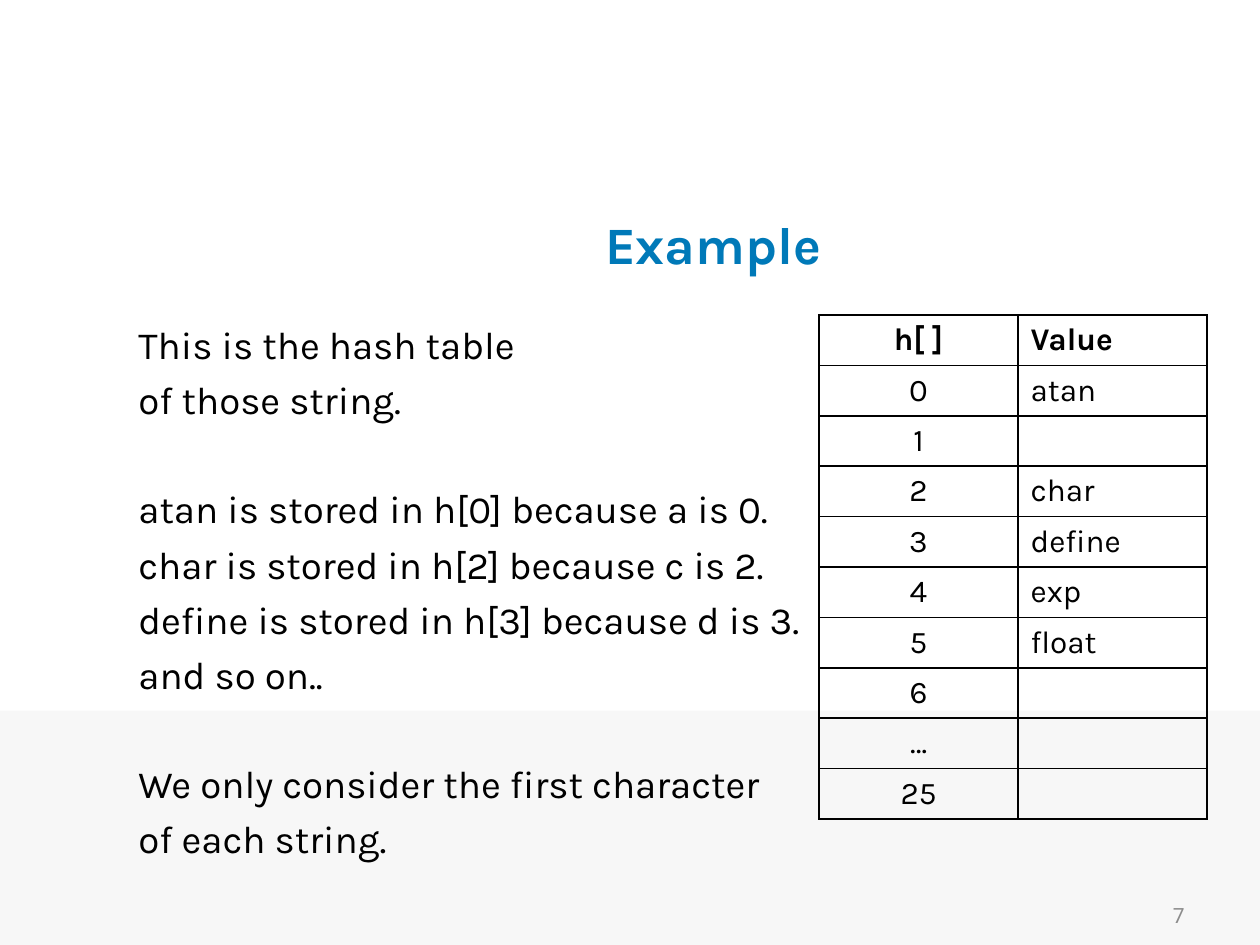
from dataclasses import dataclass

from lxml import etree
from pptx import Presentation
from pptx.dml.color import RGBColor
from pptx.enum.shapes import MSO_SHAPE
from pptx.enum.text import MSO_ANCHOR, PP_ALIGN
from pptx.oxml.ns import qn
from pptx.util import Inches, Pt

RECTANGLE = MSO_SHAPE.RECTANGLE
TOP, MIDDLE = MSO_ANCHOR.TOP, MSO_ANCHOR.MIDDLE
LEFT, CENTER, RIGHT = PP_ALIGN.LEFT, PP_ALIGN.CENTER, PP_ALIGN.RIGHT


@dataclass(frozen=True)
class Theme:
    """Fonts, colours and type sizes of the slide."""
    font: str = "Karla"
    number_font: str = "Roboto"
    accent: str = "0079B8"
    ink: str = "000000"
    muted: str = "8C8C8C"
    band: str = "F7F7F7"
    title_size: int = 30
    body_size: int = 22
    table_size: int = 18
    number_size: int = 12
    line_gap: float = 5.14
    block_gap: float = 36


THEME = Theme()
WIDTH, HEIGHT = 10, 7.5

EXPLANATION = [
    ["This is the hash table", "of those string."],
    ["atan is stored in h[0] because a is 0.",
     "char is stored in h[2] because c is 2.",
     "define is stored in h[3] because d is 3.",
     "and so on.."],
    ["We only consider the first character", "of each string."],
]
HASH_ROWS = [
    ("h[ ]", "Value"), ("0", "atan"), ("1", ""), ("2", "char"),
    ("3", "define"), ("4", "exp"), ("5", "float"), ("6", ""),
    ("…", ""), ("25", ""),
]


def write(paragraph, text, size, font=THEME.font, color=THEME.ink,
          bold=False, align=LEFT, before=0):
    """Put formatted text into a paragraph."""
    paragraph.alignment = align
    paragraph.space_before = Pt(before)
    run = paragraph.add_run()
    run.text = text
    run.font.size = Pt(size)
    run.font.name = font
    run.font.bold = bold
    run.font.color.rgb = RGBColor.from_string(color)


def add_frame(slide, box, anchor):
    """Add a wrapping text box and return its text frame."""
    frame = slide.shapes.add_textbox(*map(Inches, box)).text_frame
    frame.word_wrap = True
    frame.vertical_anchor = anchor
    return frame


def add_band(slide, box):
    """Draw the pale band at the foot of the slide."""
    band = slide.shapes.add_shape(RECTANGLE, *map(Inches, box))
    band.shadow.inherit = False
    band.fill.solid()
    band.fill.fore_color.rgb = RGBColor.from_string(THEME.band)
    band.line.fill.background()


def add_label(slide, box, text, **style):
    """Add one vertically centred line of text."""
    write(add_frame(slide, box, MIDDLE).paragraphs[0], text, **style)


def add_explanation(slide, box, blocks):
    """Add blocks of lines, with a wider gap between blocks."""
    frame = add_frame(slide, box, TOP)
    paragraph = frame.paragraphs[0]
    for block_index, block in enumerate(blocks):
        for line_index, line in enumerate(block):
            if block_index or line_index:
                paragraph = frame.add_paragraph()
            starts_block = block_index and not line_index
            gap = THEME.block_gap if starts_block else THEME.line_gap
            write(paragraph, line, THEME.body_size, before=gap)


def outline_cell(cell):
    """Give a cell a one-point border on all four sides."""
    properties = cell._tc.get_or_add_tcPr()
    for position, side in enumerate(("lnL", "lnR", "lnT", "lnB")):
        line = etree.Element(qn(f"a:{side}"), w=str(Pt(1)))
        fill = etree.SubElement(line, qn("a:solidFill"))
        etree.SubElement(fill, qn("a:srgbClr"), val=THEME.ink)
        properties.insert(position, line)


def add_hash_table(slide, box, rows, column_widths):
    """Add the table of hash slots and their values."""
    table = slide.shapes.add_table(
        len(rows), len(column_widths), *map(Inches, box)).table
    table.first_row = table.horz_banding = False
    for column, width in zip(table.columns, column_widths):
        column.width = Inches(width)
    for row_index, row in enumerate(rows):
        table.rows[row_index].height = Inches(box[3] / len(rows))
        for column_index, text in enumerate(row):
            cell = table.cell(row_index, column_index)
            cell.margin_top = cell.margin_bottom = Inches(0.03)
            cell.vertical_anchor = MIDDLE
            cell.fill.background()
            outline_cell(cell)
            if text:
                write(cell.text_frame.paragraphs[0], text, THEME.table_size,
                      bold=row_index == 0,
                      align=LEFT if column_index else CENTER)


def build_slide(presentation):
    """Compose the hash table example slide."""
    slide = presentation.slides.add_slide(presentation.slide_layouts[6])
    band_top = 5.64
    add_band(slide, (0, band_top, WIDTH, HEIGHT - band_top))
    add_label(slide, (1.92, 1.5, 7.48, 0.87), "Example", size=THEME.title_size,
              color=THEME.accent, bold=True, align=CENTER)
    add_label(slide, (7.17, 7.06, 2.33, 0.4), "7", size=THEME.number_size,
              font=THEME.number_font, color=THEME.muted, align=RIGHT)
    add_explanation(slide, (1, 2.5, 8.58, 4.07), EXPLANATION)
    add_hash_table(slide, (6.5, 2.5, 3.08, 4), HASH_ROWS, (1.58, 1.5))


presentation = Presentation()
presentation.slide_width = Inches(WIDTH)
presentation.slide_height = Inches(HEIGHT)
build_slide(presentation)
presentation.save("out.pptx")
